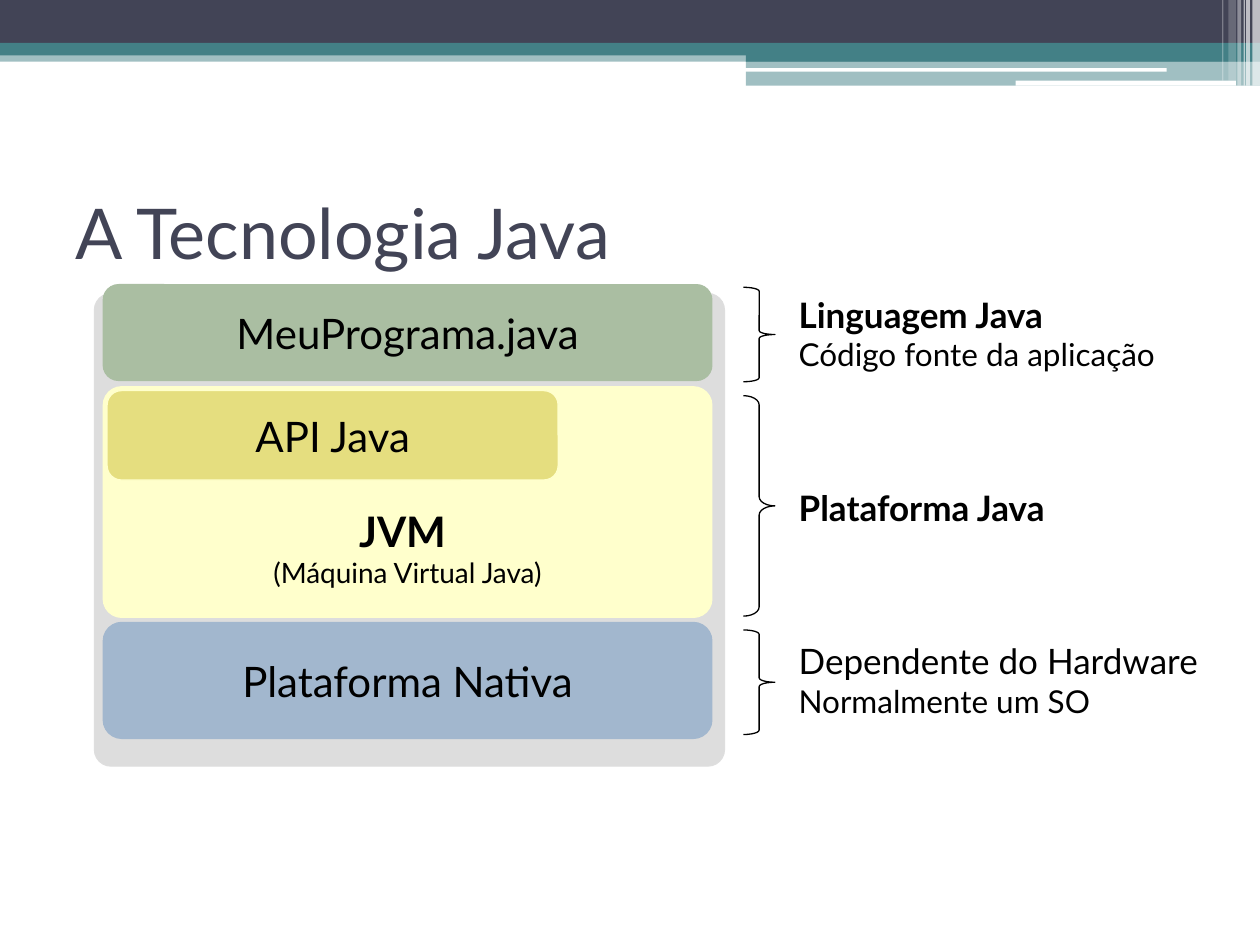
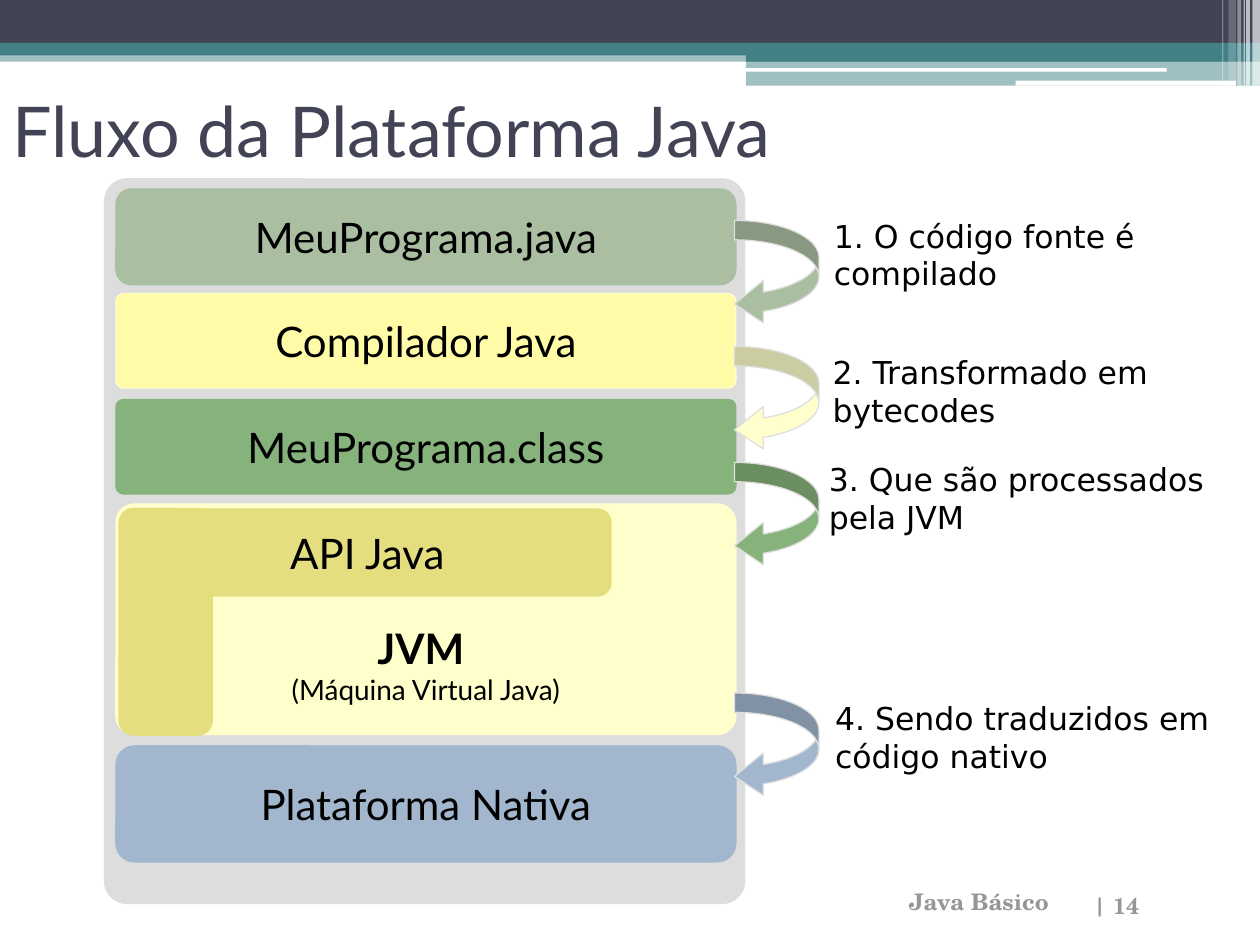
import pptx
import pptx.dml.color
import pptx.enum.shapes
import pptx.enum.text
import pptx.oxml.ns
import pptx.util
from lxml import etree

RGB = pptx.dml.color.RGBColor
SHAPE = pptx.enum.shapes.MSO_SHAPE
ALIGN = pptx.enum.text.PP_ALIGN
ANCHOR = pptx.enum.text.MSO_ANCHOR
Pt = pptx.util.Pt

# Lengths are in px, 100 px to the inch
EMU_PER_PX = 9144

NAVY = RGB(0x42, 0x44, 0x56)
TEAL = RGB(0x43, 0x80, 0x86)
WHITE = RGB(0xFF, 0xFF, 0xFF)
BLACK = RGB(0x00, 0x00, 0x00)
FOOTER_GREY = RGB(0x96, 0x96, 0x96)
FRAME_GREY = RGB(0xDD, 0xDD, 0xDD)
EDGE_GREY = RGB(0xDE, 0xDE, 0xDE)
SOURCE_GREEN = RGB(0xAA, 0xBE, 0xA2)
CLASS_GREEN = RGB(0x86, 0xB2, 0x7C)
COMPILER_YELLOW = RGB(0xFF, 0xFB, 0xA7)
JVM_CREAM = RGB(0xFF, 0xFF, 0xCC)
API_OLIVE = RGB(0xE5, 0xDE, 0x7F)
NATIVE_BLUE = RGB(0xA2, 0xB7, 0xCE)

LATO = "Lato"
STEP_FONT = "DejaVu Sans"
FOOTER_FONT = "TeX Gyre Schola"

# Header decoration: left, top, width, height, colour, opacity in percent
HEADER_BARS = [
    (0, 40, 1000, 9, TEAL, 50),
    (0, 0, 1000, 34, NAVY, 100),
    (0, 34, 1000, 10, TEAL, 100),
    (592, 39, 408, 10, TEAL, 100),
    (592, 48, 408, 20, TEAL, 50),
    (591, 54, 335, 3, WHITE, 100),
    (806, 64, 175, 4, WHITE, 100),
    (994, 0, 6, 68, WHITE, 65),
    (989, 0, 3, 68, WHITE, 65),
    (987, 0, 1, 68, WHITE, 60),
    (982, 0, 3, 68, WHITE, 40),
    (975, 0, 6, 64, WHITE, 20),
    (970, 0, 1, 64, WHITE, 30),
]


def px(*lengths):
    return [length * EMU_PER_PX for length in lengths]


def add_figure(slide, kind, box, fill=None, line=None, adjustments=(), opacity=100):
    figure = slide.shapes.add_shape(kind, *px(*box))
    figure.shadow.inherit = False
    for index, value in enumerate(adjustments):
        figure.adjustments[index] = value
    if fill is None:
        figure.fill.background()
    else:
        figure.fill.solid()
        figure.fill.fore_color.rgb = fill
    if opacity < 100:
        colour = figure.fill._xPr.find(".//" + pptx.oxml.ns.qn("a:srgbClr"))
        alpha = etree.SubElement(colour, pptx.oxml.ns.qn("a:alpha"))
        alpha.set("val", str(opacity * 1000))
    if line is None:
        figure.line.fill.background()
    else:
        figure.line.color.rgb = line
        figure.line.width = Pt(0.75)
    return figure


def write(frame, lines, font=LATO, color=BLACK, align=ALIGN.LEFT, anchor=ANCHOR.TOP):
    """Each line is (text, size, bold)."""
    frame.word_wrap = True
    frame.vertical_anchor = anchor
    frame.text = "\n".join(text for text, _, _ in lines)
    for paragraph, (_, size, bold) in zip(frame.paragraphs, lines):
        paragraph.alignment = align
        for run in paragraph.runs:
            run.font.name = font
            run.font.size = Pt(size)
            run.font.bold = bold
            run.font.color.rgb = color


def add_text(slide, box, lines, **style):
    label = slide.shapes.add_textbox(*px(*box))
    write(label.text_frame, lines, **style)


def add_header(slide, title, left, top):
    for *box, color, opacity in HEADER_BARS:
        add_figure(slide, SHAPE.RECTANGLE, box, color, opacity=opacity)
    add_text(slide, (left, top, 900, 117), [(title, 40, False)],
             color=NAVY, anchor=ANCHOR.MIDDLE)


def add_footer(slide, course, number):
    for text, box in ((f"| {number}", (431, 703, 483, 33)), (course, (250, 700, 592, 33))):
        add_text(slide, box, [(text, 13, True)], font=FOOTER_FONT,
                 color=FOOTER_GREY, align=ALIGN.RIGHT)


def add_frame(slide, box):
    add_figure(slide, SHAPE.ROUNDED_RECTANGLE, box, FRAME_GREY, EDGE_GREY, [0.035])


def add_layer(slide, box, text, fill, line=None, corner=0.16):
    layer = add_figure(slide, SHAPE.ROUNDED_RECTANGLE, box, fill, line or fill, [corner])
    write(layer.text_frame, [(text, 24, False)], align=ALIGN.CENTER, anchor=ANCHOR.MIDDLE)


def add_jvm(slide, left, top, width):
    jvm = add_figure(slide, SHAPE.ROUNDED_RECTANGLE, (left, top, width, 183),
                     JVM_CREAM, JVM_CREAM, [0.08])
    jvm.text_frame.margin_bottom = px(18)[0]
    write(jvm.text_frame, [("JVM ", 24, True), ("(Máquina Virtual Java)", 16, False)],
          align=ALIGN.CENTER, anchor=ANCHOR.BOTTOM)


def add_brace(slide, top, height):
    width = 25
    add_figure(slide, SHAPE.RIGHT_BRACE, (590, top, width, height), line=BLACK,
               adjustments=[height / 24 / width, 0.5])


def add_step(slide, arrow_top, fill, text, left, top):
    add_figure(slide, SHAPE.CURVED_LEFT_ARROW, (583, arrow_top, 67, 83),
               fill, EDGE_GREY, [0.23, 0.5, 0.34])
    add_text(slide, (left, top, 330, 70), [(text, 18, False)],
             font=STEP_FONT, anchor=ANCHOR.MIDDLE)


def build_technology(slide):
    add_header(slide, "A Tecnologia Java", 50, 125)

    # Layers of the technology
    left, width = 82, 483
    add_frame(slide, (75, 233, 500, 375))
    add_layer(slide, (left, 226, width, 76), "MeuPrograma.java", SOURCE_GREEN)
    add_jvm(slide, left, 307, width)
    add_layer(slide, (left, 494, width, 92), "Plataforma Nativa", NATIVE_BLUE)
    add_layer(slide, (85, 310, 358, 71), "API Java", API_OLIVE, JVM_CREAM)

    # Braces and what each one stands for
    for brace_top, brace_height, text_top, lines in (
        (228, 75, 228, [("Linguagem Java", 20, True),
                        ("Código fonte da aplicação", 18, False)]),
        (314, 175, 381, [("Plataforma Java", 20, True)]),
        (500, 83, 503, [("Dependente do Hardware", 20, False),
                        ("Normalmente um SO", 18, False)]),
    ):
        add_brace(slide, brace_top, brace_height)
        add_text(slide, (624, text_top, 357, 36 * len(lines)), lines)


def build_flow(slide):
    add_header(slide, "Fluxo da Plataforma Java", 0, 44)
    add_footer(slide, "Java Básico", 14)

    # Layers the program goes through
    left, width = 92, 492
    add_frame(slide, (83, 142, 508, 575))
    add_layer(slide, (left, 150, width, 76), "MeuPrograma.java", SOURCE_GREEN)
    add_layer(slide, (left, 233, width, 75), "Compilador Java", COMPILER_YELLOW,
              JVM_CREAM, 0.08)
    add_layer(slide, (left, 317, width, 75), "MeuPrograma.class", CLASS_GREEN, corner=0.08)
    add_jvm(slide, left, 400, width)
    add_layer(slide, (left, 592, width, 92), "Plataforma Nativa", NATIVE_BLUE)

    # The API reaches down through the JVM
    add_layer(slide, (97, 403, 389, 71), "API Java", API_OLIVE, JVM_CREAM)
    add_figure(slide, SHAPE.ROUNDED_RECTANGLE, (94, 403, 75, 181), API_OLIVE,
               adjustments=[0.16])

    # Numbered steps between layers
    for step in (
        (175, SOURCE_GREEN, "1. O código fonte é compilado", 652, 167),
        (275, JVM_CREAM, "2. Transformado em bytecodes", 651, 275),
        (367, CLASS_GREEN, "3. Que são processados pela JVM", 648, 360),
        (550, NATIVE_BLUE, "4. Sendo traduzidos em código nativo", 653, 550),
    ):
        add_step(slide, *step)


def main():
    deck = pptx.Presentation()
    deck.slide_width, deck.slide_height = px(1000, 750)
    blank = deck.slide_layouts[6]
    for build in (build_technology, build_flow):
        build(deck.slides.add_slide(blank))
    deck.save("out.pptx")


if __name__ == "__main__":
    main()
